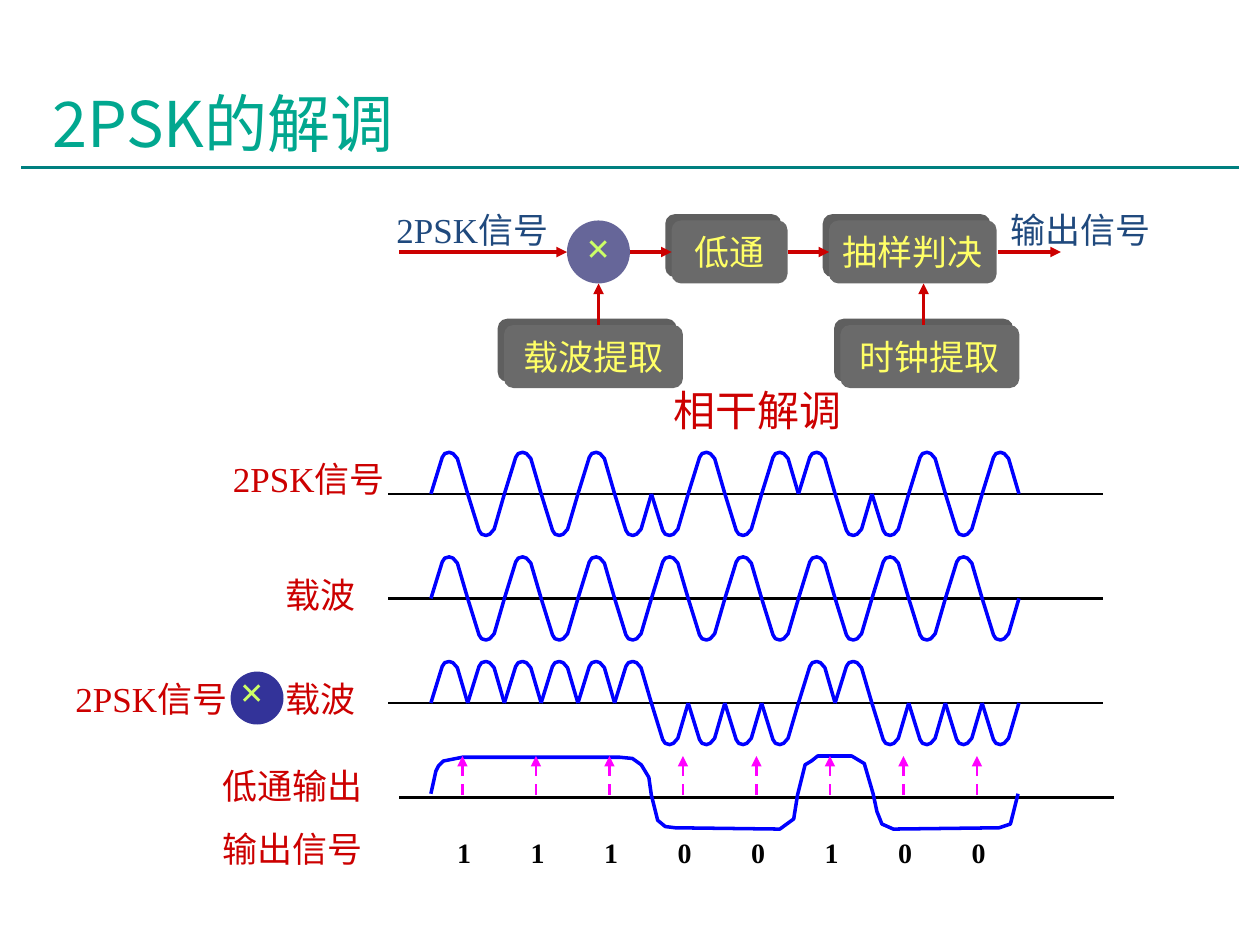
from lxml import etree
from pptx import Presentation
from pptx import util as u
from pptx.dml.color import RGBColor
from pptx.enum import dml, shapes, text
from pptx.oxml.ns import qn

RED, BLUE, BLACK, PINK, NAVY = "CC0000", "0000FF", "000000", "FF00FF", "1F497D"
SERIF, SANS = "Times New Roman", "Noto Sans CJK SC"

BITS = [1, 1, 1, 0, 0, 1, 0, 0]
LEFT, STEP = 3.42, 7 / 12
HALF = STEP / 2
LOBE = [(0.09, 0.29), (0.11, 0.32), (0.145, 0.33), (0.175, 0.32), (0.21, 0.28), (HALF, 0)]
AXES = [(3.08, 3.92), (3.08, 4.75), (3.08, 5.58), (3.17, 6.33)]
AXIS = 5.67

BLOCKS = [("载波提取", 4, 2.58, 1.42), ("低通", 5.33, 1.75, 0.92),
          ("抽样判决", 6.58, 1.75, 1.33), ("时钟提取", 6.67, 2.58, 1.42)]
ARROWS = [(3.17, 2, 4.5, 2), (5, 2, 5.33, 2), (6.25, 2, 6.58, 2), (7.92, 2, 8.42, 2),
          (4.75, 2.58, 4.75, 2.25), (7.33, 2.58, 7.33, 2.25)]
# wording, box, size, colour, wrap, line spacing
LABELS = [
    ("2PSK信号", (3, 1.67, 1.5, 0.37), 20, NAVY, True, 0.8),
    ("输出信号", (7.92, 1.67, 1.31, 0.37), 20, NAVY, False, 0.8),
    ("相干解调", (5.25, 3, 1.53, 0.5), 24, RED, False, 1),
    ("2PSK信号", (1.75, 3.58, 1.42, 0.43), 20, RED, True, 1),
    ("载波", (2.17, 4.5, 0.76, 0.43), 20, RED, False, 1),
    ("2PSK信号", (0.5, 5.33, 1.42, 0.43), 20, RED, True, 1),
    ("载波", (2.17, 5.33, 0.83, 0.43), 20, RED, True, 1),
    ("低通输出", (1.67, 6.08, 1.31, 0.37), 20, RED, False, 0.8),
    ("输出信号", (1.67, 6.58, 1.31, 0.37), 20, RED, False, 0.8),
]
FILTERED = [
    (3.42, 6.3), (3.46, 6.12), (3.48, 6.08), (3.52, 6.04), (3.67, 6.01), (4.92, 6.01),
    (5.02, 6.02), (5.09, 6.07), (5.15, 6.17), (5.17, 6.31), (5.22, 6.51), (5.28, 6.56),
    (5.36, 6.57), (6.19, 6.58), (6.3, 6.5), (6.33, 6.31), (6.39, 6.07), (6.44, 6.04),
    (6.49, 6), (6.76, 6), (6.86, 6.06), (6.93, 6.3), (6.96, 6.44), (7, 6.54),
    (7.09, 6.58), (7.93, 6.57), (8.02, 6.54), (8.08, 6.3)]

deck = Presentation()
deck.slide_width, deck.slide_height = u.Inches(10), u.Inches(7.5)
slide = deck.slides.add_slide(deck.slide_layouts[6])


def rgb(code):
    """Turn a hex string into a colour."""
    return RGBColor.from_string(code)


def inch(vals):
    """Turn numbers into lengths."""
    return [u.Inches(v) for v in vals]


def write(shape, words, size, color, font=SERIF, bold=False, wrap=False,
          space=1, mid=True):
    """Put one styled paragraph in a shape."""
    frame = shape.text_frame
    frame.word_wrap = wrap
    para = frame.paragraphs[0]
    para.text = words
    para.alignment = text.PP_ALIGN.CENTER if mid else text.PP_ALIGN.LEFT
    if space != 1:
        para.line_spacing = space
    style = para.runs[0].font
    style.name, style.size, style.bold = font, u.Pt(size), bold
    style.color.rgb = rgb(color)
    return para


def label(words, box, *args, grow=True, **opts):
    """Add a text box."""
    item = slide.shapes.add_textbox(*inch(box))
    para = write(item, words, *args, **opts)
    if grow:
        item.text_frame.auto_size = text.MSO_AUTO_SIZE.SHAPE_TO_FIT_TEXT
    return para


def solid(kind, box, color):
    """Add a filled shape without outline."""
    item = slide.shapes.add_shape(kind, *inch(box))
    item.shadow.inherit = False
    item.fill.solid()
    item.fill.fore_color.rgb = rgb(color)
    item.line.fill.background()
    item.text_frame.vertical_anchor = text.MSO_ANCHOR.MIDDLE
    return item


def block(words, x, y, w, h=0.5, deep=0.05):
    """Add a raised block of the diagram."""
    kind = shapes.MSO_SHAPE.ROUNDED_RECTANGLE
    for shift, color in ((deep, "5F5F5F"), (0, "6A6A6A")):
        item = solid(kind, (x - shift, y - shift, w, h), color)
        item.adjustments[0] = 0.15
    write(item, words, 20, "FFFF66")


def line(ends, color, width, tip=None, dash=False):
    """Add a straight line; tip is headEnd or tailEnd."""
    item = slide.shapes.add_connector(shapes.MSO_CONNECTOR.STRAIGHT, *inch(ends))
    item.line.color.rgb, item.line.width = rgb(color), u.Pt(width)
    if dash:
        item.line.dash_style = dml.MSO_LINE.DASH
    if tip:
        etree.SubElement(item.line._get_or_add_ln(), qn("a:" + tip), type="triangle")
    etree.SubElement(item._element.spPr, qn("a:effectLst"))


def curve(pts):
    """Add an open blue outline through points."""
    pts = [(round(x * 1000), round(y * 1000)) for x, y in pts]
    pen = slide.shapes.build_freeform(*pts[0], scale=914.4)
    pen.add_line_segments(pts[1:], close=False)
    item = pen.convert_to_shape()
    item.shadow.inherit = False
    item.fill.background()
    item.line.color.rgb, item.line.width = rgb(BLUE), u.Pt(2)


def wave(x, y, signs):
    """Draw half periods in a row; sign 1 is up."""
    pts = [(x, y)]
    for n, sign in enumerate(signs):
        pts += [(x + n * HALF + dx, y - sign * dy) for dx, dy in LOBE]
    curve(pts)


line((0.17, 1.33, 9.83, 1.33), "008080", 2)
label("2PSK的解调", (0.17, 0.5, 3.2, 0.58), 36, "01A78F", SANS, wrap=True,
      space=1.2, grow=False)

for part in BLOCKS:
    block(*part)
mixer = solid(shapes.MSO_SHAPE.OVAL, (4.5, 1.75, 0.5, 0.5), "666699")
write(mixer, "×", 24, "CCFF66", bold=True, space=0.75)
for ends in ARROWS:
    line(ends, RED, 2, "tailEnd")

for x, y in AXES:
    line((x, y, x + AXIS, y), BLACK, 1.5)
rows = [y for _, y in AXES]
for n, bit in enumerate(BITS):
    x, sign = LEFT + n * STEP, 1 if bit else -1
    wave(x, rows[0], (sign, -sign))
    wave(x, rows[1], (1, -1))
    for k in range(2):
        wave(x + k * HALF, rows[2], (sign,))
curve(FILTERED)
for n in range(len(BITS)):
    x = 3.67 + n * STEP
    line((x, 6, x, 6.33), PINK, 1.5, "headEnd", True)

digits = label("".join(f"\t{b}" for b in BITS), (LEFT, 6.58, 4.67, 0.37), 16, BLACK,
               bold=True, wrap=True, mid=False)
tabs = etree.SubElement(digits._p.get_or_add_pPr(), qn("a:tabLst"))
for n in range(len(BITS)):
    etree.SubElement(tabs, qn("a:tab"), pos=str(u.Inches(0.11 + n * STEP)), algn="l")

solid(shapes.MSO_SHAPE.OVAL, (1.83, 5.33, 0.42, 0.42), "333399")
label("×", (1.75, 5.33, 0.5, 0.4), 24, "CCFF66", bold=True, wrap=True, space=0.75)
for words, box, size, color, wrap, space in LABELS:
    label(words, box, size, color, wrap=wrap, space=space, mid=box[0] == 3)

deck.save("out.pptx")
